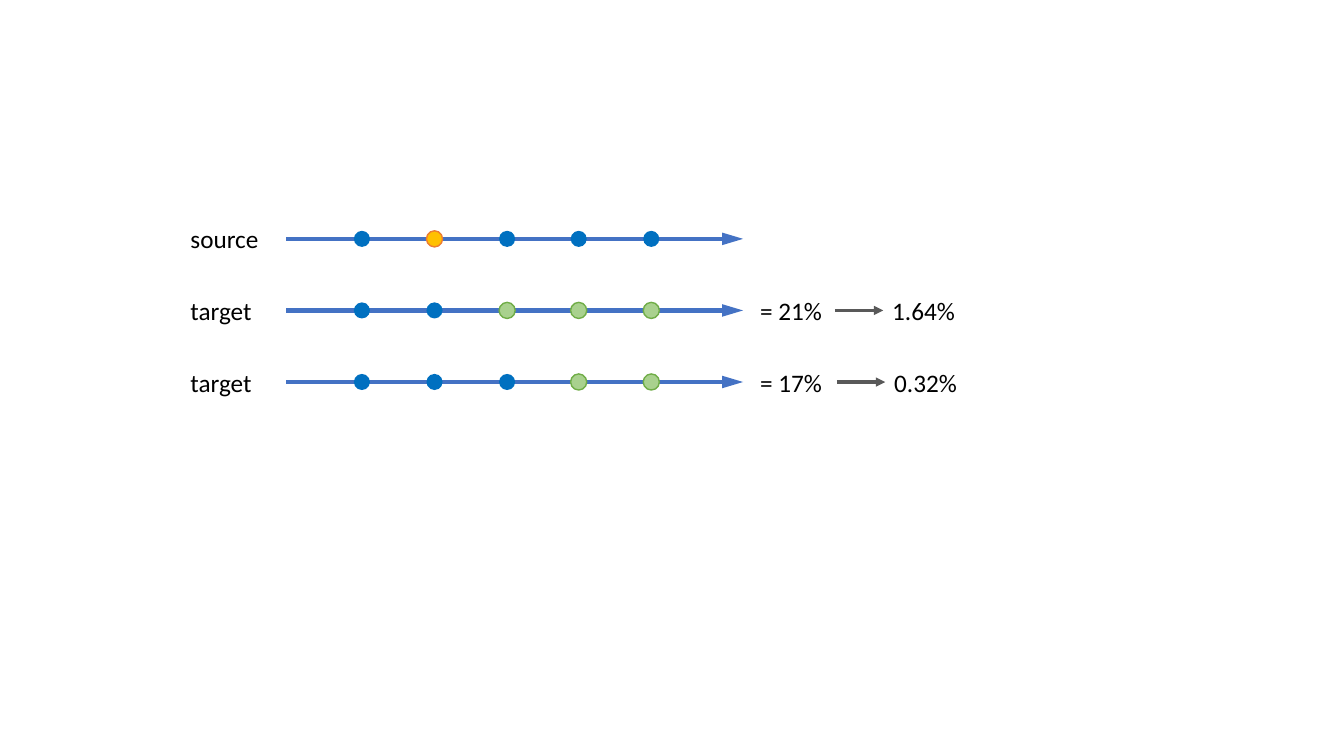
import dataclasses

import pptx
import pptx.dml.color
import pptx.enum.shapes
import pptx.enum.text
import pptx.oxml.ns
import pptx.util
from lxml import etree

PX = 9144  # EMU, 100 px to the inch


@dataclasses.dataclass(frozen=True)
class Theme:
    font: str = "Calibri"
    text_size: float = 18
    text: str = "000000"
    axis: str = "4472C4"
    axis_width: float = 3
    change: str = "595959"
    change_width: float = 2.25
    outline_width: float = 1
    # state of a dot: fill and outline
    dots: tuple = (
        ("plain", "0070C0", None),
        ("edited", "FFC000", "ED7D31"),
        ("affected", "A9D18E", "70AD47"),
    )


def rgb(colour):
    return pptx.dml.color.RGBColor.from_string(colour)


class Sketch:
    def __init__(self, page, theme):
        self.page = page
        self.theme = theme
        self.dot_styles = {state: (fill, edge) for state, fill, edge in theme.dots}

    def label(self, text, left, top):
        box = self.page.shapes.add_textbox(left * PX, top * PX, 105 * PX, 40 * PX)
        frame = box.text_frame
        frame.word_wrap = True
        frame.auto_size = pptx.enum.text.MSO_AUTO_SIZE.SHAPE_TO_FIT_TEXT
        frame.text = text
        font = frame.paragraphs[0].runs[0].font
        font.name = self.theme.font
        font.size = pptx.util.Pt(self.theme.text_size)
        font.color.rgb = rgb(self.theme.text)

    def arrow(self, left, right, y, colour, width, head_length):
        """Draw a level arrow pointing right."""
        arrow = self.page.shapes.add_connector(
            pptx.enum.shapes.MSO_CONNECTOR.STRAIGHT,
            left * PX, y * PX, right * PX, y * PX)
        arrow.line.color.rgb = rgb(colour)
        arrow.line.width = pptx.util.Pt(width)
        qn = pptx.oxml.ns.qn
        etree.SubElement(arrow.line._get_or_add_ln(), qn("a:tailEnd"),
                         type="triangle", w="med", len=head_length)
        etree.SubElement(arrow._element.spPr, qn("a:effectLst"))

    def dot(self, state, left, top, size=16):
        dot = self.page.shapes.add_shape(
            pptx.enum.shapes.MSO_SHAPE.OVAL,
            left * PX, top * PX, size * PX, size * PX)
        dot.shadow.inherit = False
        fill, edge = self.dot_styles[state]
        dot.fill.solid()
        dot.fill.fore_color.rgb = rgb(fill)
        if edge:
            dot.line.color.rgb = rgb(edge)
            dot.line.width = pptx.util.Pt(self.theme.outline_width)
        else:
            dot.line.fill.background()

    def timeline(self, name, y, states):
        theme = self.theme
        self.arrow(284, 737, y, theme.axis, theme.axis_width, "lg")
        for index, state in enumerate(states):
            self.dot(state, 351 + round(71.8 * index), y - 8)
        self.label(name, 179, y - 20)

    def change(self, before, after, y, shift):
        """Show a rate, an arrow and the new rate to the right of a timeline."""
        theme = self.theme
        self.label(before, 744, y - 20)
        self.arrow(828 + shift, 876 + shift, y, theme.change, theme.change_width, "med")
        self.label(after, 875 + shift, y - 20)


def main():
    deck = pptx.Presentation()
    deck.slide_width = 1333 * PX
    deck.slide_height = 750 * PX
    page = deck.slides.add_slide(deck.slide_layouts[6])
    sketch = Sketch(page, Theme())

    source_y, row_step = 237, 71
    sketch.timeline("source", source_y, ["plain", "edited"] + ["plain"] * 3)

    targets = [
        (2, "= 21%", "1.64%", 0),
        (3, "= 17%", "0.32%", 2),
    ]
    for row, (plain_count, before, after, shift) in enumerate(targets, start=1):
        y = source_y + row * row_step
        states = ["plain"] * plain_count + ["affected"] * (5 - plain_count)
        sketch.timeline("target", y, states)
        sketch.change(before, after, y, shift)

    deck.save("out.pptx")


if __name__ == "__main__":
    main()
